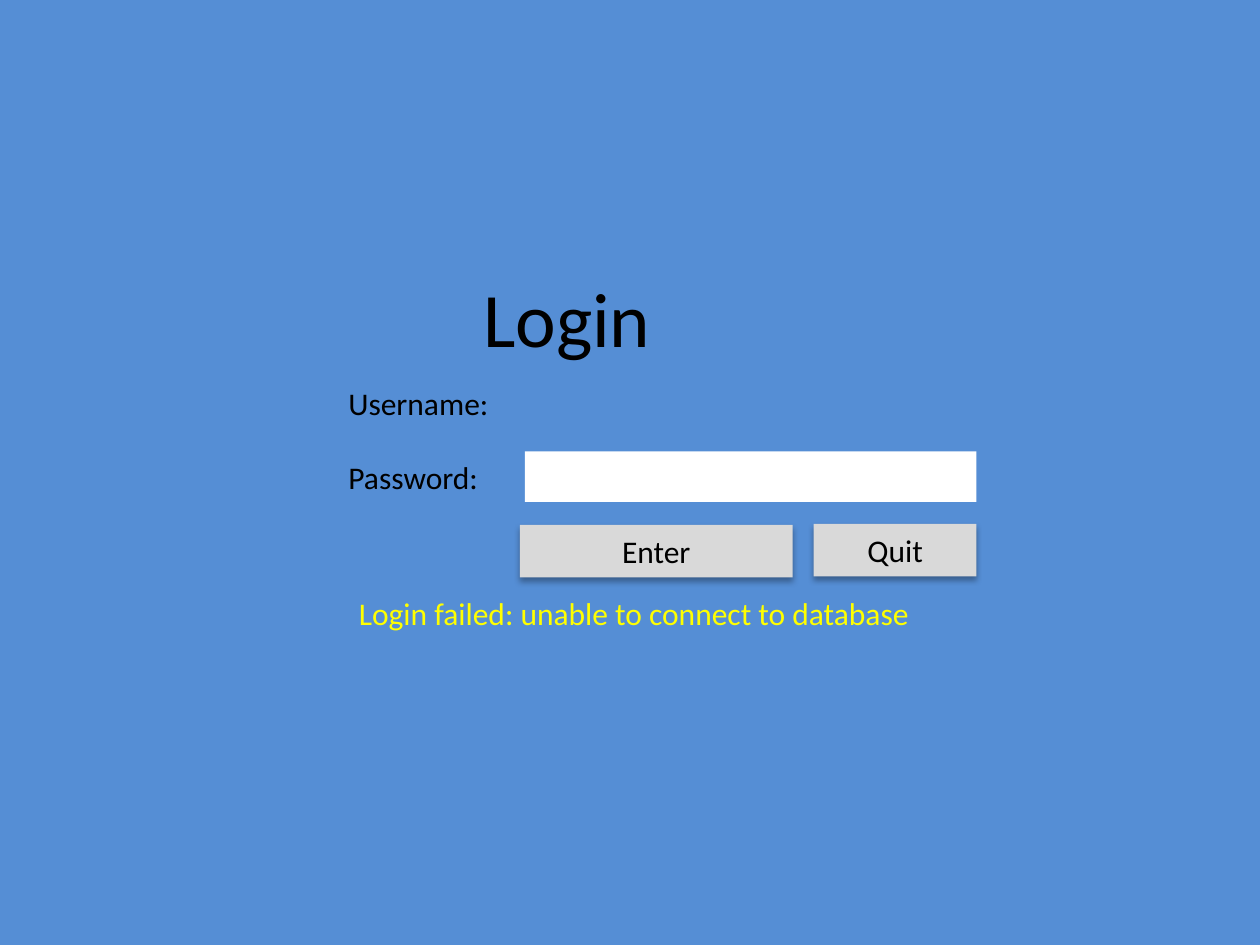
from lxml import etree
from pptx import Presentation
from pptx.dml.color import RGBColor
from pptx.enum.shapes import MSO_SHAPE
from pptx.enum.text import MSO_ANCHOR, MSO_AUTO_SIZE, PP_ALIGN
from pptx.oxml.ns import qn
from pptx.util import Inches, Pt

RECTANGLE = MSO_SHAPE.RECTANGLE
MIDDLE = MSO_ANCHOR.MIDDLE
GROW = MSO_AUTO_SIZE.SHAPE_TO_FIT_TEXT
LEFT, CENTER = PP_ALIGN.LEFT, PP_ALIGN.CENTER

COLORS = {
    "background": "558ED5",
    "text": "000000",
    "field": "FFFFFF",
    "button": "D9D9D9",
    "error": "FFFF00",
    "shadow": "000000",
}
COLUMNS, ROWS = 120, 90
WIDTH, HEIGHT = Inches(10), Inches(7.5)
LINE_ROWS = 4.8


def color(name):
    """Return the named colour."""
    return RGBColor.from_string(COLORS[name])


def grid(left, top, columns, rows):
    """Turn grid columns and rows into slide lengths."""
    return (
        round(left * WIDTH / COLUMNS),
        round(top * HEIGHT / ROWS),
        round(columns * WIDTH / COLUMNS),
        round(rows * HEIGHT / ROWS),
    )


def write_text(shape, text, size=18, text_color="text", alignment=LEFT):
    """Write one formatted paragraph into a shape."""
    shape.text_frame.word_wrap = True
    paragraph = shape.text_frame.paragraphs[0]
    paragraph.text = text
    paragraph.alignment = alignment
    font = paragraph.runs[0].font
    for name, value in {"name": "Calibri", "size": Pt(size)}.items():
        setattr(font, name, value)
    font.color.rgb = color(text_color)


def add_title(slide, text, cell):
    """Move and fill the title placeholder."""
    title = slide.shapes.title
    for name, value in zip(("left", "top", "width", "height"), grid(*cell)):
        setattr(title, name, value)
    title.text_frame.vertical_anchor = MIDDLE
    write_text(title, text, size=44, alignment=CENTER)


def add_label(slide, text, cell, text_color="text"):
    """Add a line of plain text."""
    label = slide.shapes.add_textbox(*grid(*cell))
    label.text_frame.auto_size = GROW
    write_text(label, text, text_color=text_color)


def add_box(slide, cell, fill):
    """Add a flat rectangle without outline."""
    box = slide.shapes.add_shape(RECTANGLE, *grid(*cell))
    box.fill.solid()
    box.fill.fore_color.rgb = color(fill)
    box.line.fill.background()
    box.shadow.inherit = False
    return box


def add_drop_shadow(shape):
    """Give a shape a soft shadow straight below it."""
    effects = shape._element.spPr.find(qn("a:effectLst"))
    shadow = etree.SubElement(
        effects, qn("a:outerShdw"), blurRad=str(Pt(3.5)), dist=str(Pt(2.2)),
        dir="5400000", rotWithShape="0",
    )
    shade = etree.SubElement(shadow, qn("a:srgbClr"), val=COLORS["shadow"])
    etree.SubElement(shade, qn("a:alpha"), val="32000")


def add_button(slide, text, cell):
    """Add a raised button with a centred caption."""
    button = add_box(slide, cell, "button")
    add_drop_shadow(button)
    button.text_frame.auto_size = GROW
    write_text(button, text, alignment=CENTER)


def main():
    """Build the login slide."""
    presentation = Presentation()
    presentation.slide_width, presentation.slide_height = WIDTH, HEIGHT
    slide = presentation.slides.add_slide(presentation.slide_layouts[0])
    slide.background.fill.solid()
    slide.background.fill.fore_color.rgb = color("background")
    subtitle = slide.placeholders[1].element
    subtitle.getparent().remove(subtitle)

    add_title(slide, "Login", (29, 25, 50, 10.3))
    add_box(slide, (50, 43, 43, LINE_ROWS), "field")
    add_label(slide, "Username:", (32, 36, 18, LINE_ROWS))
    add_label(slide, "Password:", (32, 43, 16, LINE_ROWS))
    add_label(slide, "Login failed: unable to connect to database",
              (33, 56, 59, LINE_ROWS), "error")
    add_button(slide, "Enter", (49.5, 50, 26, 5))
    add_button(slide, "Quit", (77.5, 49.9, 15.5, 5))
    presentation.save("out.pptx")


if __name__ == "__main__":
    main()
